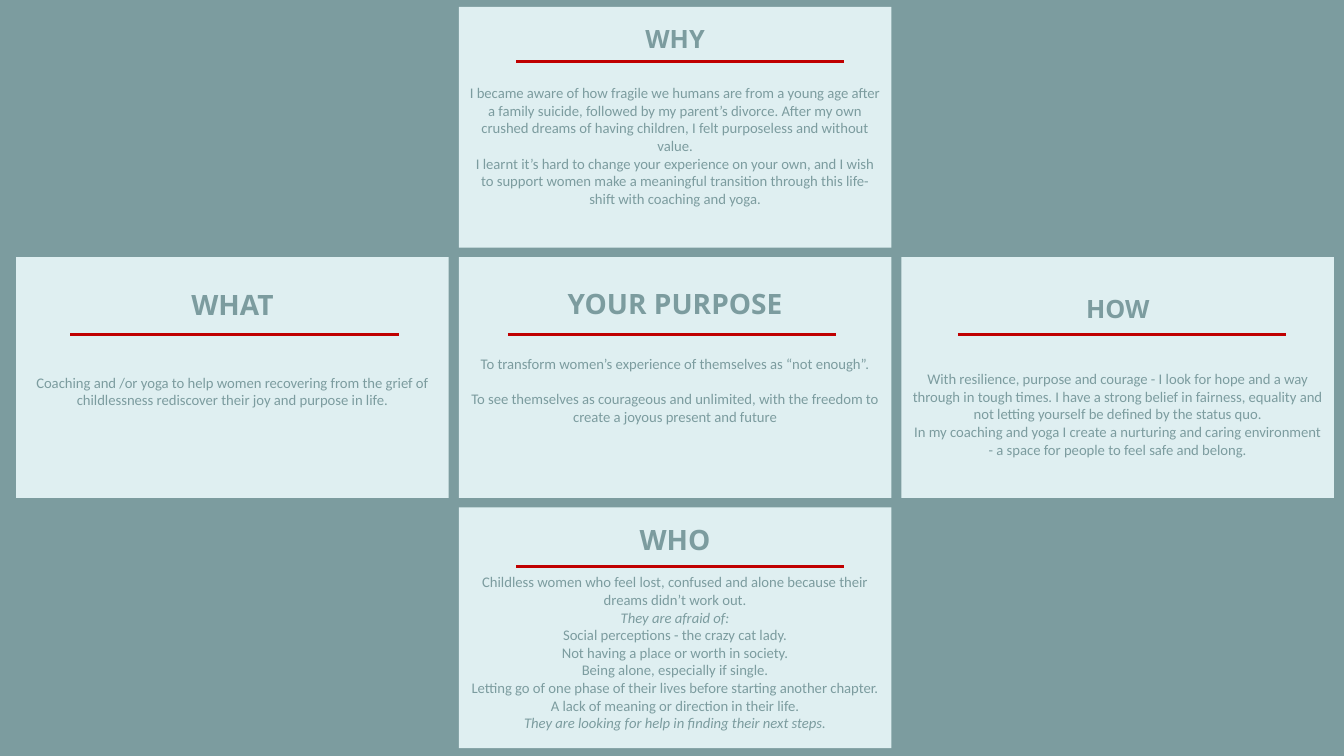
from pptx import Presentation
from pptx.dml.color import RGBColor
from pptx.enum.shapes import MSO_CONNECTOR, MSO_SHAPE
from pptx.enum.text import MSO_ANCHOR, PP_ALIGN
from pptx.oxml.ns import qn
from pptx.util import Pt

RECT = MSO_SHAPE.RECTANGLE
LINE = MSO_CONNECTOR.STRAIGHT
TOP = MSO_ANCHOR.TOP
MID = PP_ALIGN.CENTER

HUES = {"sage": "7C9C9F", "mist": "DFEFF1", "red": "C00000"}
WIDE, HIGH = 960, 540
CARD_W, CARD_H = 309, 172
COLS = [11.5 + 316.2 * i for i in range(3)]
ROWS = [5 + 178.7 * i for i in range(3)]
RULE_W = 234.5

# Column, row, title, title size, title inset, rule (x, y) in the card,
# gap under the title, gap between paragraphs, paragraphs (text, italic)
CARDS = [
    (1, 0, "WHY", 18, 12, (41, 39), 21.5, 0, [
        ("I became aware of how fragile we humans are from a young age after "
         "a family suicide, followed by my parent’s divorce. After my own "
         "crushed dreams of having children, I felt purposeless and without "
         "value.", False),
        ("I learnt it’s hard to change your experience on your own, and I "
         "wish to support women make a meaningful transition through this "
         "life-shift with coaching and yoga.", False),
    ]),
    (1, 1, "YOUR PURPOSE", 20, 21, (35, 55.4), 25, 12.5, [
        ("To transform women’s experience of themselves as “not enough”.",
         False),
        ("To see themselves as courageous and unlimited, with the freedom to "
         "create a joyous present and future", False),
    ]),
    (1, 2, "WHO", 20, 10.5, (41, 42.2), 12.5, 0, [
        ("Childless women who feel lost, confused and alone because their "
         "dreams didn’t work out.", False),
        ("They are afraid of:", True),
        ("Social perceptions - the crazy cat lady.", False),
        ("Not having a place or worth in society.", False),
        ("Being alone, especially if single.", False),
        ("Letting go of one phase of their lives before starting another "
         "chapter.", False),
        ("A lack of meaning or direction in their life.", False),
        ("They are looking for help in finding their next steps.", True),
    ]),
    (2, 1, "HOW", 18, 26, (40.3, 55.4), 33, 0, [
        ("With resilience, purpose and courage - I look for hope and a way "
         "through in tough times. I have a strong belief in fairness, "
         "equality and not letting yourself be defined by the status quo.",
         False),
        ("In my coaching and yoga I create a nurturing and caring "
         "environment - a space for people to feel safe and belong.", False),
    ]),
    (0, 1, "WHAT", 20, 21.5, (38.7, 55.4), 37.5, 0, [
        ("Coaching and /or yoga to help women recovering from the grief of "
         "childlessness rediscover their joy and purpose in life.", False),
    ]),
]


def hue(name):
    return RGBColor.from_string(HUES[name])


def panel(slide, box, fill):
    shape = slide.shapes.add_shape(RECT, *map(Pt, box))
    shape.shadow.inherit = False
    shape.fill.solid()
    shape.fill.fore_color.rgb = hue(fill)
    shape.line.fill.background()
    return shape


def rule(slide, x, y):
    line = slide.shapes.add_connector(LINE, Pt(x), Pt(y), Pt(x + RULE_W), Pt(y))
    line.line.color.rgb = hue("red")
    line.line.width = Pt(2.25)
    props = line._element.spPr
    props.append(props.makeelement(qn("a:effectLst"), {}))


def write(para, text, face, size, bold=False, slant=False):
    para.alignment = MID
    run = para.add_run()
    run.text = text
    font = run.font
    font.name, font.size = face, Pt(size)
    font.bold, font.italic = bold, slant
    font.color.rgb = hue("sage")


def card(slide, box, title, size, inset, mark, lead, gap, body):
    """Place a panel with its title, red rule and centred paragraphs."""
    left, top = box[:2]
    frame = panel(slide, box, "mist").text_frame
    frame.word_wrap = True
    frame.vertical_anchor = TOP
    frame.margin_top = Pt(inset)
    write(frame.paragraphs[0], title, "Open Sans", size, bold=True)
    for i, (text, slant) in enumerate(body):
        para = frame.add_paragraph()
        para.space_before = Pt(gap if i else lead)
        write(para, text, "Calibri", 10.5, slant=slant)
    rule(slide, left + mark[0], top + mark[1])


def main():
    deck = Presentation()
    deck.slide_width, deck.slide_height = Pt(WIDE), Pt(HIGH)
    slide = deck.slides.add_slide(deck.slide_layouts[6])
    panel(slide, (0, 0, WIDE, HIGH), "sage")
    for col, row, *parts in CARDS:
        card(slide, (COLS[col], ROWS[row], CARD_W, CARD_H), *parts)
    deck.save("out.pptx")


if __name__ == "__main__":
    main()
